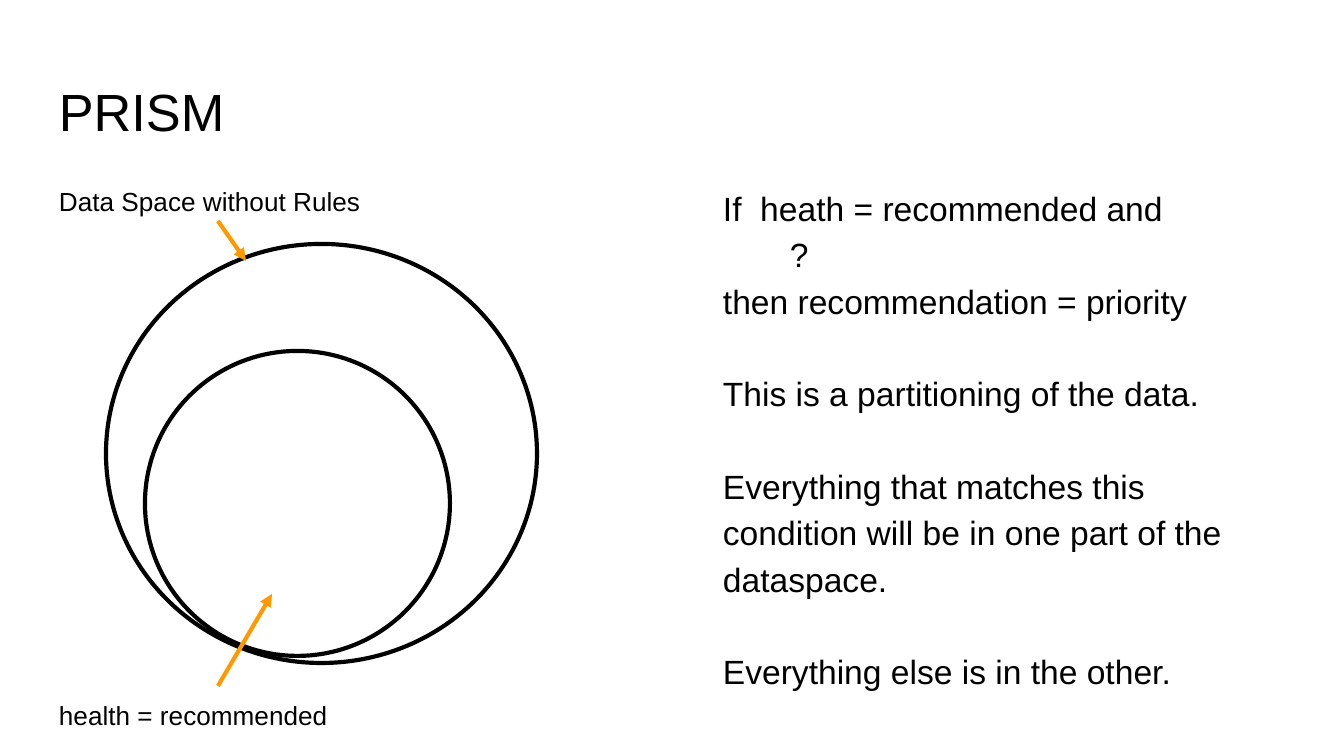
import pptx
import pptx.util
import pptx.dml.color
import pptx.enum.shapes
import pptx.enum.text
import pptx.oxml.ns
from lxml import etree

SCALE = 914400 / 134.4  # EMU per pixel
PAGE_SIZE = (1344, 756)
INSET = 13
FONT = "Arial"
BLACK, ORANGE = "000000", "FF9900"
LINE_WIDTH = 2.25
BLANK_LINE = 24.8  # points

# text, indent in pixels, space before in points
BODY = [
    ("If  heath = recommended and", 0, 0),
    ("?", 67, 0),
    ("then recommendation = priority", 0, 0),
    ("This is a partitioning of the data.", 0, BLANK_LINE),
    ("Everything that matches this condition will be in one part of the dataspace.",
     0, BLANK_LINE),
    ("Everything else is in the other.", 0, BLANK_LINE),
]
# box, paragraphs, size, line spacing
TEXTS = [
    ((46, 66, 1253, 85), [("PRISM", 0, 0)], 28, 1.0),
    ((710, 169, 587, 503), BODY, 18, 1.15),
    ((46, 172, 345, 50), [("Data Space without Rules", 0, 0)], 14, 1.0),
    ((46, 686, 345, 50), [("health = recommended", 0, 0)], 14, 1.0),
]
DATA_SPACES = [(106, 244, 431, 419), (145, 351, 305, 305)]
ARROWS = [(218, 221, 246, 261), (218, 686, 272, 594)]


def px(length):
    """Turn pixels into EMU."""
    return pptx.util.Emu(round(length * SCALE))


def color(value):
    """Turn a hex string into a colour."""
    return pptx.dml.color.RGBColor.from_string(value)


def apply(target, values):
    """Set attributes from a dict."""
    for name, value in values.items():
        setattr(target, name, value)


def style_line(line, value):
    """Set the colour and width of a line."""
    line.color.rgb = color(value)
    line.width = pptx.util.Pt(LINE_WIDTH)


def add_text(page, place, paragraphs, size, spacing):
    """Add a wrapped text box with one span per paragraph."""
    frame = page.shapes.add_textbox(*map(px, place)).text_frame
    apply(frame, {
        "word_wrap": True,
        "auto_size": pptx.enum.text.MSO_AUTO_SIZE.NONE,
        "vertical_anchor": pptx.enum.text.MSO_ANCHOR.TOP,
        **{"margin_" + side: px(INSET) for side in ("left", "top", "right", "bottom")},
    })
    for index, (text, indent, before) in enumerate(paragraphs):
        para = frame.add_paragraph() if index else frame.paragraphs[0]
        apply(para, {"line_spacing": spacing, "space_before": pptx.util.Pt(before)})
        if indent:
            para._p.get_or_add_pPr().set("indent", str(px(indent)))
        span = para.add_run()
        span.text = text
        apply(span.font, {"name": FONT, "size": pptx.util.Pt(size)})
        span.font.color.rgb = color(BLACK)


def add_circle(page, place):
    """Add an unfilled ellipse."""
    circle = page.shapes.add_shape(pptx.enum.shapes.MSO_SHAPE.OVAL, *map(px, place))
    circle.shadow.inherit = False
    circle.fill.background()
    style_line(circle.line, BLACK)


def add_arrow(page, ends):
    """Add a straight line with a triangle at its end."""
    arrow = page.shapes.add_connector(
        pptx.enum.shapes.MSO_CONNECTOR.STRAIGHT, *map(px, ends))
    style_line(arrow.line, ORANGE)
    qn = pptx.oxml.ns.qn
    etree.SubElement(arrow.line._get_or_add_ln(), qn("a:tailEnd"), type="triangle")
    etree.SubElement(arrow._element.spPr, qn("a:effectLst"))


def build():
    """Build and save the slide."""
    deck = pptx.Presentation()
    deck.slide_width, deck.slide_height = map(px, PAGE_SIZE)
    page = deck.slides.add_slide(deck.slide_layouts[6])
    for text in TEXTS:
        add_text(page, *text)
    for place in DATA_SPACES:
        add_circle(page, place)
    for ends in ARROWS:
        add_arrow(page, ends)
    deck.save("out.pptx")


build()
